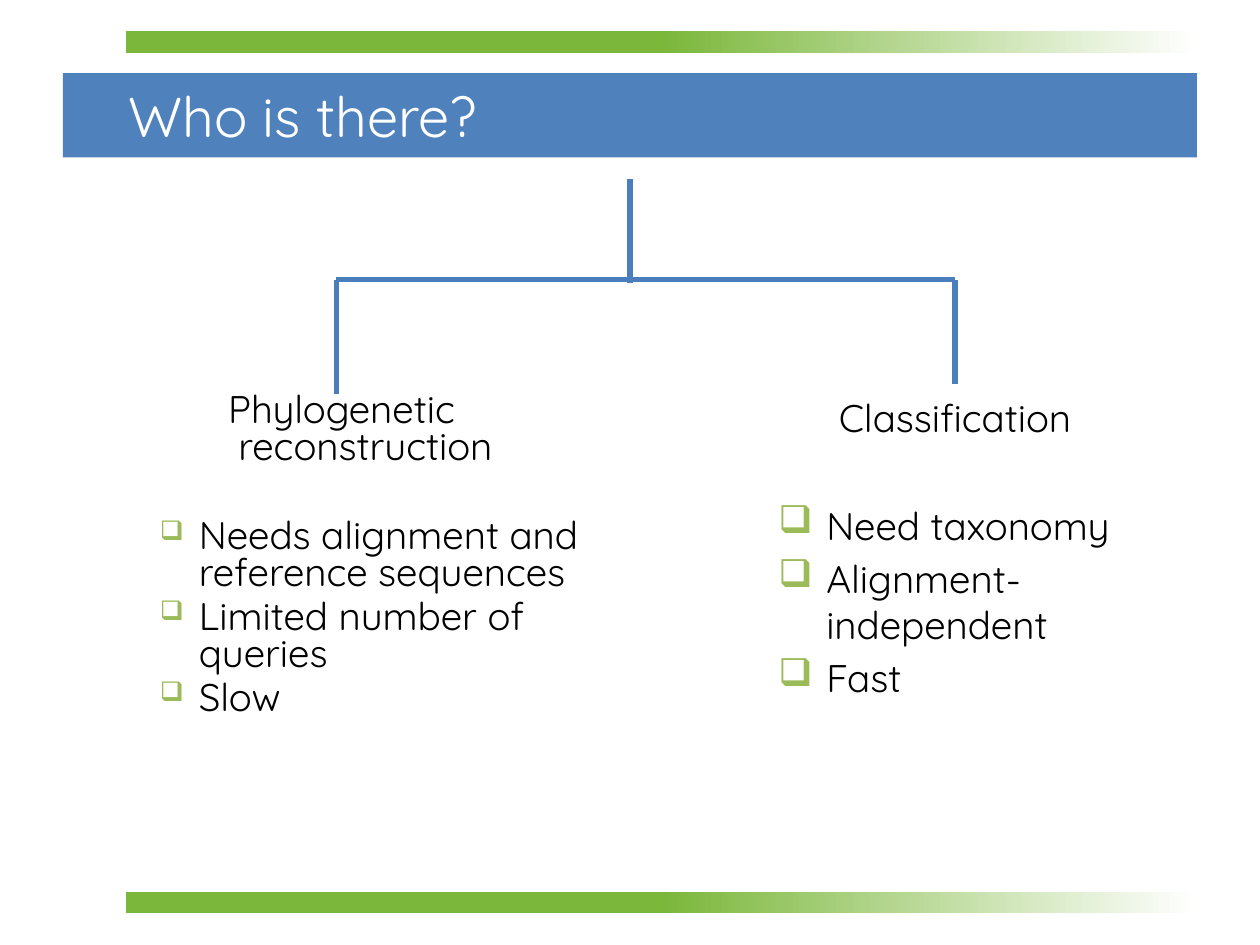
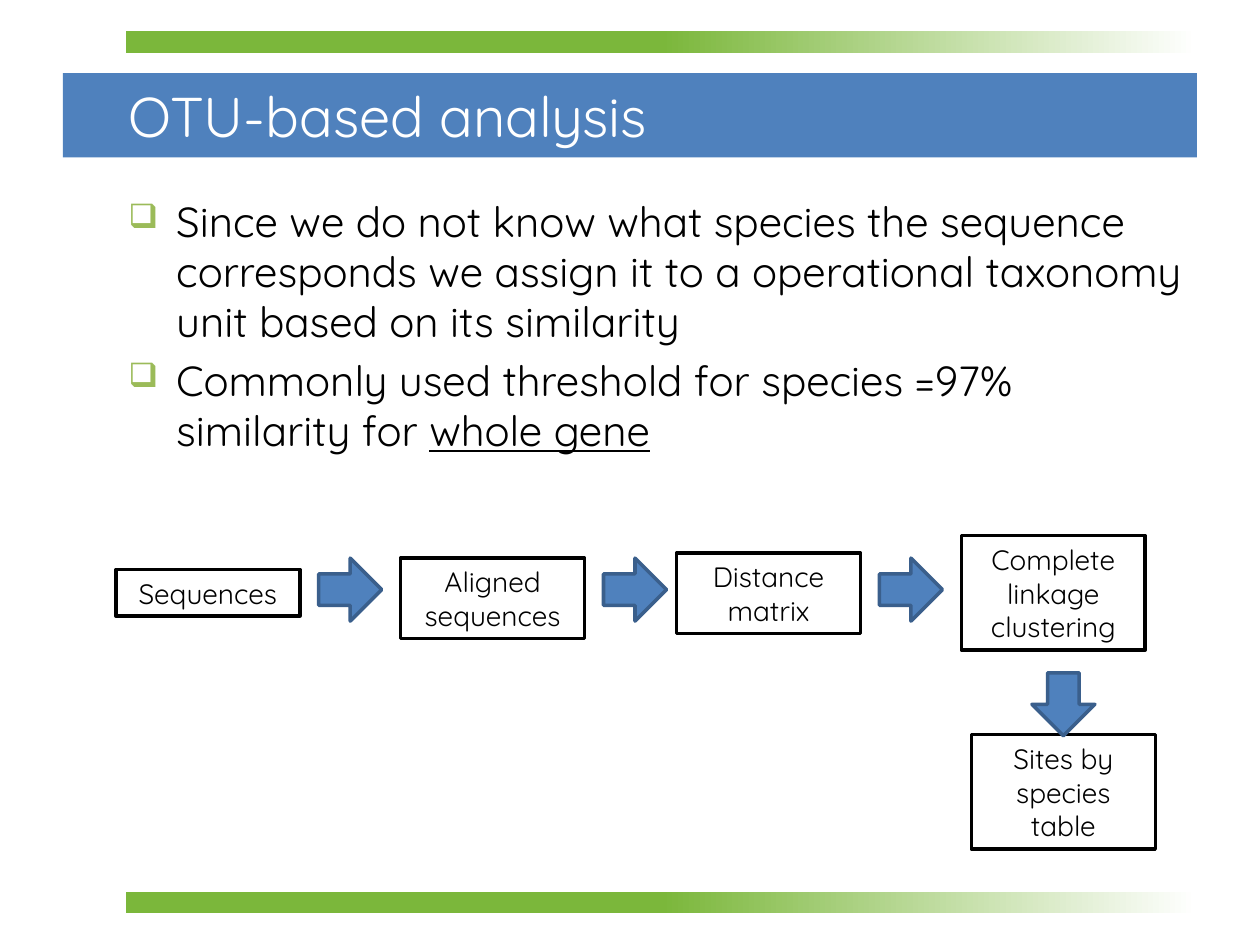
from lxml.etree import SubElement
from pptx import Presentation
from pptx.dml.color import RGBColor
from pptx.enum.shapes import MSO_CONNECTOR, MSO_SHAPE
from pptx.enum.text import MSO_ANCHOR, PP_ALIGN
from pptx.oxml.ns import qn
from pptx.util import Inches, Pt

FONT = "Quicksand"
COLORS = {
    "band": "4F81BD", "green": "7BB73B", "white": "FFFFFF", "black": "000000",
    "bullet": "9BBB59", "tree": "4B7EBC", "arrow_edge": "3A5F8C",
}
TITLE_BOX = (0.92, 0.58, 8.58, 0.67)


def rgb(name):
    return RGBColor.from_string(COLORS[name])


def add_shape(s, kind, box, fill, line=None):
    sp = s.shapes.add_shape(kind, *map(Inches, box))
    sp.shadow.inherit = False
    sp.fill.solid()
    sp.fill.fore_color.rgb = rgb(fill)
    if line:
        sp.line.color.rgb = rgb(line)
        sp.line.width = Pt(2)
    else:
        sp.line.fill.background()
    return sp


def add_text_box(s, box):
    tf = s.shapes.add_textbox(*map(Inches, box)).text_frame
    tf.word_wrap = True
    return tf


def next_paragraph(tf):
    """Return the empty first paragraph, or a new one after the last."""
    p = tf.paragraphs[-1]
    return tf.add_paragraph() if p.runs else p


def write(p, text, size, color="black", **font):
    r = p.add_run()
    r.text = text
    values = {"name": FONT, "size": Pt(size), **font}
    for key, value in values.items():
        setattr(r.font, key, value)
    r.font.color.rgb = rgb(color)


def format_paragraph(p, left=0, hang=0, **values):
    for key, value in values.items():
        setattr(p, key, value)
    pPr = p._p.get_or_add_pPr()
    pPr.set("marL", str(Inches(left)))
    pPr.set("indent", str(-Inches(hang)))
    return pPr


def add_bullet(tf, left, hang, percent, **values):
    p = next_paragraph(tf)
    pPr = format_paragraph(p, left, hang, **values)
    color = SubElement(pPr, qn("a:buClr"))
    SubElement(color, qn("a:srgbClr"), val=COLORS["bullet"])
    SubElement(pPr, qn("a:buSzPct"), val=str(percent * 1000))
    SubElement(pPr, qn("a:buChar"), char="❑")
    return p


# Shared frame: title band and fading green bars
def add_fading_bar(s, box):
    sp = add_shape(s, MSO_SHAPE.RECTANGLE, box, "green")
    sp.fill.gradient()
    sp.fill.gradient_angle = 0
    stops = (("green", 0.5), ("white", 1.0))
    for stop, (color, position) in zip(sp.fill.gradient_stops, stops):
        stop.color.rgb = rgb(color)
        stop.position = position


def add_titled_slide(prs, title):
    s = prs.slides.add_slide(prs.slide_layouts[6])
    add_shape(s, MSO_SHAPE.RECTANGLE, (0.5, 0.58, 9, 0.67), "band")
    for top in (0.25, 7.08):
        add_fading_bar(s, (1, top, 8.5, 0.17))
    tf = add_text_box(s, TITLE_BOX)
    tf.vertical_anchor = MSO_ANCHOR.MIDDLE
    write(tf.paragraphs[0], title, 32, "white")
    return s


# Branching tree
def add_line(s, x1, y1, x2, y2):
    line = s.shapes.add_connector(
        MSO_CONNECTOR.STRAIGHT, *map(Inches, (x1, y1, x2, y2)))
    line.line.color.rgb = rgb("tree")
    line.line.width = Pt(3)
    SubElement(line._element.spPr, qn("a:effectLst"))


def add_tree(s, box, stem=2.33, fork=0.8, right_drop=0.83):
    left, top, width, height = box
    right, middle = left + width, top + fork
    add_line(s, left, middle, right, middle)
    add_line(s, left, top + height, left, middle)
    add_line(s, right, middle + right_drop, right, middle)
    add_line(s, left + stem, middle + 0.03, left + stem, top)


# Heading with bulleted points below it
def add_method(s, box, heading, points, spacing, gap, left, hang, percent):
    tf = add_text_box(s, box)
    values = {"line_spacing": spacing, "space_before": Pt(4)}
    p = next_paragraph(tf)
    format_paragraph(p, 0.38, 0.38, alignment=PP_ALIGN.CENTER, **values)
    write(p, heading, 22)
    for i, point in enumerate(points):
        values["space_before"] = Pt(4 if i else gap)
        write(add_bullet(tf, left, hang, percent, **values), point, 22)


def build_methods(prs):
    s = add_titled_slide(prs, "Who is there?")
    add_method(s, (0.67, 3.08, 4.08, 3.33), "Phylogenetic reconstruction",
               ("Needs alignment and reference sequences",
                "Limited number of queries", "Slow"),
               spacing=0.8, gap=29.5, left=0.81, hang=0.31, percent=70)
    add_method(s, (5.58, 3.08, 4, 2.92), "Classification",
               ("Need taxonomy", "Alignment-independent", "Fast"),
               spacing=1.0, gap=35, left=0.88, hang=0.38, percent=100)
    add_tree(s, (2.67, 1.42, 4.91, 1.71))


# Workflow of boxes and arrows
def add_step(s, x, y, text, lines):
    box = (x, y, 1.46, 0.1 + 0.27 * lines)
    sp = add_shape(s, MSO_SHAPE.RECTANGLE, box, "white", "black")
    tf = sp.text_frame
    tf.word_wrap = True
    tf.vertical_anchor = MSO_ANCHOR.MIDDLE
    p = tf.paragraphs[0]
    p.alignment = PP_ALIGN.CENTER
    write(p, text, 16)


def add_workflow(s, box):
    left, top, width, height = box
    steps = (  # x offset, y offset, text, lines
        (0, 0.27, "Sequences", 1),
        (2.26, 0.18, "Aligned sequences", 2),
        (4.45, 0.14, "Distance matrix", 2),
        (6.71, 0, "Complete linkage clustering", 3),
        (width - 1.46, height - 0.91, "Sites by species table", 3),
    )
    for dx, dy, text, lines in steps:
        add_step(s, left + dx, top + dy, text, lines)
    arrows = [(MSO_SHAPE.RIGHT_ARROW, dx + 1.61, 0.18) for dx, *_ in steps[:3]]
    arrows.append((MSO_SHAPE.DOWN_ARROW, 7.27, 1.09))
    for kind, dx, dy in arrows:
        add_shape(s, kind, (left + dx, top + dy, 0.5, 0.5), "band", "arrow_edge")


def build_otu_analysis(prs):
    s = add_titled_slide(prs, "OTU-based analysis")
    tf = add_text_box(s, (0.92, 1.5, 8.58, 5.2))
    points = (
        ("Since we do not know what species the sequence corresponds we assign "
         "it to a operational taxonomy unit based on its similarity", ""),
        ("Commonly used threshold for species =97% similarity for ", "whole gene"),
    )
    for text, underlined in points:
        p = add_bullet(tf, 0.38, 0.38, 80, space_before=Pt(4.5))
        write(p, text, 24)
        if underlined:
            write(p, underlined, 24, underline=True)
    add_workflow(s, (0.92, 4.25, 8.25, 2.49))


def main():
    prs = Presentation()
    prs.slide_width, prs.slide_height = Inches(10), Inches(7.5)
    build_methods(prs)
    build_otu_analysis(prs)
    prs.save("out.pptx")


if __name__ == "__main__":
    main()
